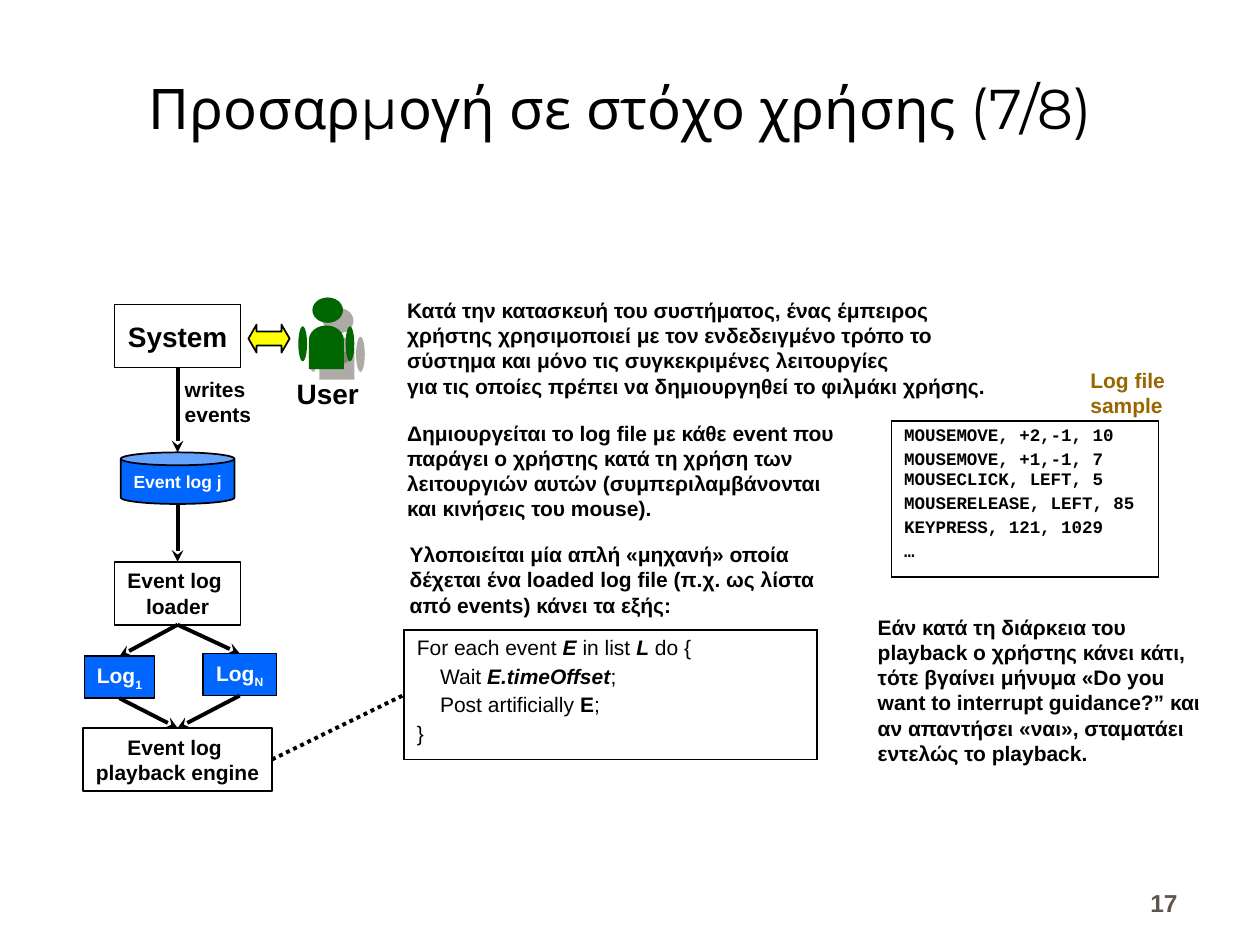
from lxml import etree
from pptx import Presentation
from pptx.dml.color import RGBColor
from pptx.enum import dml, shapes, text
from pptx.oxml import ns
from pptx.util import Pt

KIND = shapes.MSO_SHAPE
ALIGN = text.PP_ALIGN
ANCHOR = text.MSO_ANCHOR
BLACK, WHITE, BLUE, GREEN = "000000", "FFFFFF", "0066FF", "006600"


def hue(code):
    """Turn a hex string into a colour."""
    return RGBColor.from_string(code)


def node(parent, tag, **attrs):
    """Append a drawing element to a parent."""
    return etree.SubElement(parent, ns.qn("a:" + tag), attrs)


def write(frame, paras, size=12, font="Arial", color=BLACK, bold=True,
          align=ALIGN.LEFT, before=(), indent=()):
    """Fill a text frame; a paragraph is a string or a list of (text, marks)."""
    for n, para in enumerate(paras):
        p = frame.paragraphs[0] if n == 0 else frame.add_paragraph()
        p.alignment = align
        if n < len(before):
            p.space_before = Pt(before[n])
        if n < len(indent):
            p._p.get_or_add_pPr().set("marL", str(Pt(indent[n])))
        for words, marks in [(para, "")] if isinstance(para, str) else para:
            run = p.add_run()
            run.text = words
            f = run.font
            f.name, f.size, f.color.rgb = font, Pt(size), hue(color)
            f.bold = bold or "b" in marks
            f.italic = "i" in marks
            if "s" in marks:
                f._element.set("baseline", "-25000")


def label(slide, box, paras, wrap=True, anchor=ANCHOR.TOP, **style):
    """Place a text box."""
    frame = slide.shapes.add_textbox(*map(Pt, box)).text_frame
    frame.word_wrap, frame.vertical_anchor = wrap, anchor
    write(frame, paras, **style)


def block(home, kind, box, fill, line=BLACK):
    """Place a filled preset shape without shadow."""
    shape = home.shapes.add_shape(kind, *map(Pt, box))
    shape.shadow.inherit = False
    shape.fill.solid()
    shape.fill.fore_color.rgb = hue(fill)
    if line:
        shape.line.color.rgb, shape.line.width = hue(line), Pt(1)
    else:
        shape.line.fill.background()
    return shape


def step(slide, box, paras, kind=KIND.RECTANGLE, fill=WHITE, **style):
    """Place a labelled shape of the flow."""
    shape = block(slide, kind, box, fill)
    frame = shape.text_frame
    frame.word_wrap, frame.vertical_anchor = False, ANCHOR.MIDDLE
    write(frame, paras, align=ALIGN.CENTER, **style)
    return shape


def link(slide, start, end, first=None, last=None, dots=False):
    """Draw a connector, joined to (shape, side) where given."""
    line = slide.shapes.add_connector(shapes.MSO_CONNECTOR.STRAIGHT,
                                      *map(Pt, start + end))
    if first:
        line.begin_connect(*first)
    if last:
        line.end_connect(*last)
    line.line.color.rgb, line.line.width = hue(BLACK), Pt(2.25)
    if dots:
        line.line.dash_style = dml.MSO_LINE.ROUND_DOT
    else:
        node(line.line._get_or_add_ln(), "tailEnd", type="stealth")
    node(line._element.spPr, "effectLst")


def panel(slide, box, paras, **style):
    """Place a one-cell bordered table."""
    table = slide.shapes.add_table(1, 1, *map(Pt, box)).table
    table.first_row = table.horz_banding = False
    cell = table.cell(0, 0)
    props = cell._tc.get_or_add_tcPr()
    for side in ("lnL", "lnR", "lnT", "lnB"):
        edge = node(props, side, w=str(Pt(1.08)))
        node(node(edge, "solidFill"), "srgbClr", val=BLACK)
    cell.fill.solid()
    cell.fill.fore_color.rgb = hue(WHITE)
    write(cell.text_frame, paras, **style)


def flow(slide, x, y):
    """Draw the chain from the system to the playback engine."""
    mid = x + 54
    system = step(slide, (x + 18, y, 72, 36), ["System"], size=16)
    can = (x + 21.5, y + 84.5, 65, 29.5)
    step(slide, can, ["Event log j"], KIND.CAN, BLUE, size=10, color=WHITE)
    loader = step(slide, (x + 18, y + 147, 72, 36), ["Event log ", "loader"])
    engine = step(slide, (x, y + 242, 108, 36),
                  ["Event log ", "playback engine"])
    link(slide, (mid, y + 36), (mid, can[1]), first=(system, 2))
    link(slide, (mid, can[1] + can[3]), (mid, y + 147), last=(loader, 0))
    for dx, dy, wide, sub in ((0.75, 201, 40, "1"), (68.5, 199.5, 42, "N")):
        log = step(slide, (x + dx, y + dy, wide, 24),
                   [[("Log", ""), (sub, "s")]], fill=BLUE, color=WHITE)
        cx = x + dx + wide / 2
        link(slide, (mid, y + 183), (cx, y + dy), (loader, 2), (log, 0))
        link(slide, (cx, y + dy + 24), (mid, y + 242), (log, 2), (engine, 0))
    label(slide, (x + 51, y + 37.5, 53, 36), ["writes", "events"], wrap=False)
    return engine


def user(slide, x, y):
    """Draw the shadowed user figure, its caption and the double arrow."""
    group = slide.shapes.add_group_shape()
    oval = KIND.OVAL
    for kind, dx, dy, w, h in ((oval, 8, 0, 17.5, 14.5),
                               (oval, 0, 16.5, 5, 20),
                               (oval, 6, 16, 20, 16.5),
                               (KIND.RECTANGLE, 6, 25, 20, 16),
                               (oval, 27, 16.5, 5, 20)):
        part = block(group, kind, (x + dx, y + dy, w, h), GREEN, None)
        effect = part._element.spPr.find(ns.qn("a:effectLst"))
        cast = node(effect, "outerShdw", blurRad="0", dist=str(Pt(8.5)),
                    dir="2700000", algn="ctr", rotWithShape="0")
        node(node(cast, "srgbClr", val="5E574E"), "alpha", val="50000")
    label(slide, (x - 8, y + 41.5, 50, 27), ["User"], wrap=False, size=16)
    arrow = block(slide, KIND.LEFT_RIGHT_ARROW,
                  (x - 28.5, y + 15.5, 23.5, 16), "FFFF00")
    arrow.adjustments[1] = 0.29


def notes(slide, x, y):
    """Place the three explanations and the playback code."""
    label(slide, (x, y, 362, 65), [
        "Κατά την κατασκευή του συστήματος, ένας έμπειρος χρήστης "
        "χρησιμοποιεί με τον ενδεδειγμένο τρόπο το σύστημα και μόνο τις "
        "συγκεκριμένες λειτουργίες",
        "για τις οποίες πρέπει να δημιουργηθεί το φιλμάκι χρήσης."])
    label(slide, (x, y + 70, 262, 65), [
        "Δημιουργείται το log file με κάθε event που παράγει ο χρήστης κατά "
        "τη χρήση των λειτουργιών αυτών (συμπεριλαμβάνονται και κινήσεις "
        "του mouse)."])
    label(slide, (x + 1.5, y + 139.5, 262, 50), [
        "Υλοποιείται μία απλή «μηχανή» οποία δέχεται ένα loaded log file "
        "(π.χ. ως λίστα από events) κάνει τα εξής:"])
    panel(slide, (x + 5.5, y + 193.5, 236, 74), [
        [("For each event ", ""), ("E", "bi"), (" in list ", ""),
         ("L", "bi"), (" do {", "")],
        [("Wait ", ""), ("E.timeOffset", "bi"), (";", "")],
        [("Post artificially ", ""), ("E", "b"), (";", "")],
        "}"], bold=False, before=[3] * 4, indent=(0, 13.3, 13.3, 0))


def sample(slide, x, y):
    """Place the log file sample, its heading and the remark below."""
    label(slide, (x + 121.5, y, 57, 36), ["Log file", "sample"],
          wrap=False, color="996600")
    panel(slide, (x + 15, y + 34, 152.5, 89), [
        "MOUSEMOVE, +2,-1, 10", "MOUSEMOVE, +1,-1, 7", "MOUSECLICK, LEFT, 5",
        "MOUSERELEASE, LEFT, 85", "KEYPRESS, 121, 1029", "…"],
        size=10, font="Courier New", before=(0, 2.5, 0, 2.5, 2.5, 2.5))
    label(slide, (x, y + 141, 204.5, 94), [
        "Εάν κατά τη διάρκεια του playback ο χρήστης κάνει κάτι, τότε "
        "βγαίνει μήνυμα «Do you want to interrupt guidance?” και αν "
        "απαντήσει «ναι», σταματάει εντελώς το playback."])


def main():
    """Build the slide and save it."""
    deck = Presentation()
    deck.slide_width, deck.slide_height = Pt(720), Pt(540)
    slide = deck.slides.add_slide(deck.slide_layouts[6])
    label(slide, (78, 12, 642, 72), ["Προσαρμογή σε στόχο χρήσης (7/8)"],
          anchor=ANCHOR.BOTTOM, size=32, font="Montserrat", bold=False)
    engine = flow(slide, 47.5, 174)
    user(slide, 170.5, 170)
    notes(slide, 225.5, 166.5)
    sample(slide, 494.5, 206.5)
    link(slide, (155.5, 434), (231, 397), first=(engine, 3), dots=True)
    label(slide, (530, 492, 150, 36), ["17"], anchor=ANCHOR.BOTTOM, size=14,
          color="5E574E", align=ALIGN.RIGHT)
    deck.save("out.pptx")


if __name__ == "__main__":
    main()
